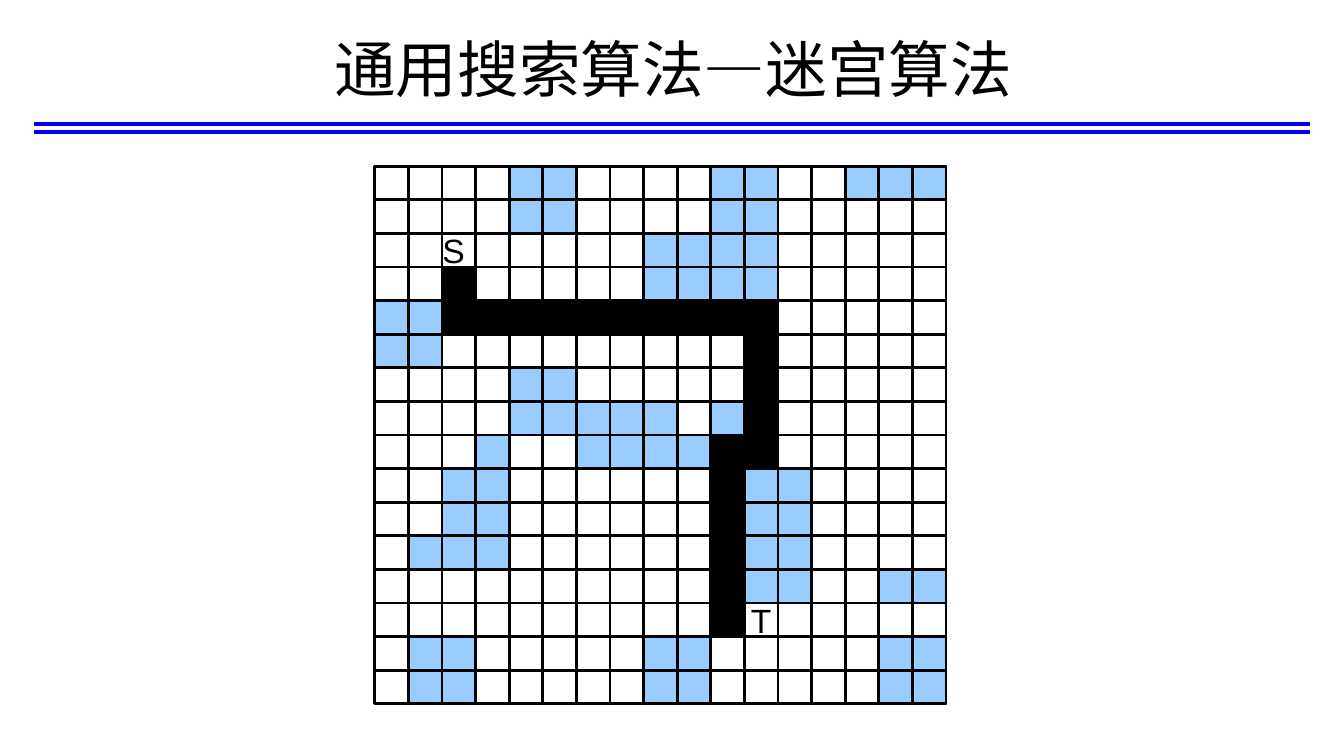
"""Build the maze search slide: a title, a double rule and a grid with walls and a path."""
from lxml.etree import SubElement
from pptx import Presentation
from pptx.dml.color import RGBColor
from pptx.enum.shapes import MSO_CONNECTOR, MSO_SHAPE
from pptx.enum.text import MSO_ANCHOR, MSO_AUTO_SIZE, PP_ALIGN
from pptx.oxml.ns import qn
from pptx.util import Pt

TITLE = "通用搜索算法—迷宫算法"
MAZE = [
    "....##....##..###",
    "....##....##.....",
    "........####.....",
    "..*.....####.....",
    "##**********.....",
    "##.........*.....",
    "....##.....*.....",
    "....#####.#*.....",
    "...#..####**.....",
    "..##......*##....",
    "..##......*##....",
    ".###......*##....",
    "..........*##..##",
    "..........*......",
    ".##.....##.....##",
    ".##.....##.....##",
]
FILLS = {"#": "99CCFF", "*": "000000"}
MARKS = [("S", 308.9, 160.6, 30.2), ("T", 529.2, 424.8, 28.8)]
RULE_LEFT, RULE_RIGHT, RULE_TOPS = 24, 936, (88.5, 94.5)
LEFT, TOP, CELL = 267.75, 118.75, 24
COLUMNS, ROWS = len(MAZE[0]), len(MAZE)
RIGHT, BOTTOM = LEFT + COLUMNS * CELL, TOP + ROWS * CELL


def color(value):
    return RGBColor.from_string(value)


def write_text(box, text, size=24, align=PP_ALIGN.LEFT, wrap=False):
    frame = box.text_frame
    frame.word_wrap = wrap
    frame.auto_size = MSO_AUTO_SIZE.NONE if wrap else MSO_AUTO_SIZE.SHAPE_TO_FIT_TEXT
    frame.vertical_anchor = MSO_ANCHOR.MIDDLE
    para = frame.paragraphs[0]
    para.alignment = align
    span = para.add_run()
    span.text = text
    span.font.name = "Arial"
    span.font.size = Pt(size)
    span.font.color.rgb = color("000000")


def add_line(slide, start, end, stroke="000000", width=2):
    line = slide.shapes.add_connector(MSO_CONNECTOR.STRAIGHT, *map(Pt, start + end))
    line.line.color.rgb = color(stroke)
    line.line.width = Pt(width)
    SubElement(line._element.spPr, qn("a:effectLst"))


def add_box(slide, left, top, width, height, fill=None):
    box = slide.shapes.add_shape(MSO_SHAPE.RECTANGLE, *map(Pt, (left, top, width, height)))
    box.shadow.inherit = False
    box.line.color.rgb = color("000000")
    box.line.width = Pt(2)
    if fill:
        box.fill.solid()
        box.fill.fore_color.rgb = color(fill)
    else:
        box.fill.background()


def add_heading(slide):
    title = slide.shapes.title
    title.left, title.top, title.width, title.height = map(Pt, (49, 20.2, 864, 56.9))
    write_text(title, TITLE, size=44, align=PP_ALIGN.CENTER, wrap=True)
    for top in RULE_TOPS:
        add_line(slide, (RULE_LEFT, top), (RULE_RIGHT, top), stroke="0000FF", width=3)


def add_grid(slide):
    add_box(slide, LEFT, TOP, COLUMNS * CELL, ROWS * CELL)
    for column in range(1, COLUMNS):
        x = LEFT + column * CELL
        add_line(slide, (x, TOP), (x, BOTTOM))
    for row in range(1, ROWS):
        y = TOP + row * CELL
        add_line(slide, (LEFT, y), (RIGHT, y))


def add_marks(slide):
    for text, left, top, width in MARKS:
        box = slide.shapes.add_textbox(*map(Pt, (left, top, width, 36)))
        write_text(box, text)


def add_cells(slide):
    for kind, fill in FILLS.items():
        for row, line in enumerate(MAZE):
            for column, symbol in enumerate(line):
                if symbol == kind:
                    add_box(slide, LEFT + column * CELL, TOP + row * CELL, CELL, CELL, fill)


def main():
    deck = Presentation()
    deck.slide_width, deck.slide_height = Pt(960), Pt(540)
    slide = deck.slides.add_slide(deck.slide_layouts[5])
    add_heading(slide)
    add_grid(slide)
    add_marks(slide)
    add_cells(slide)
    deck.save("out.pptx")


if __name__ == "__main__":
    main()
